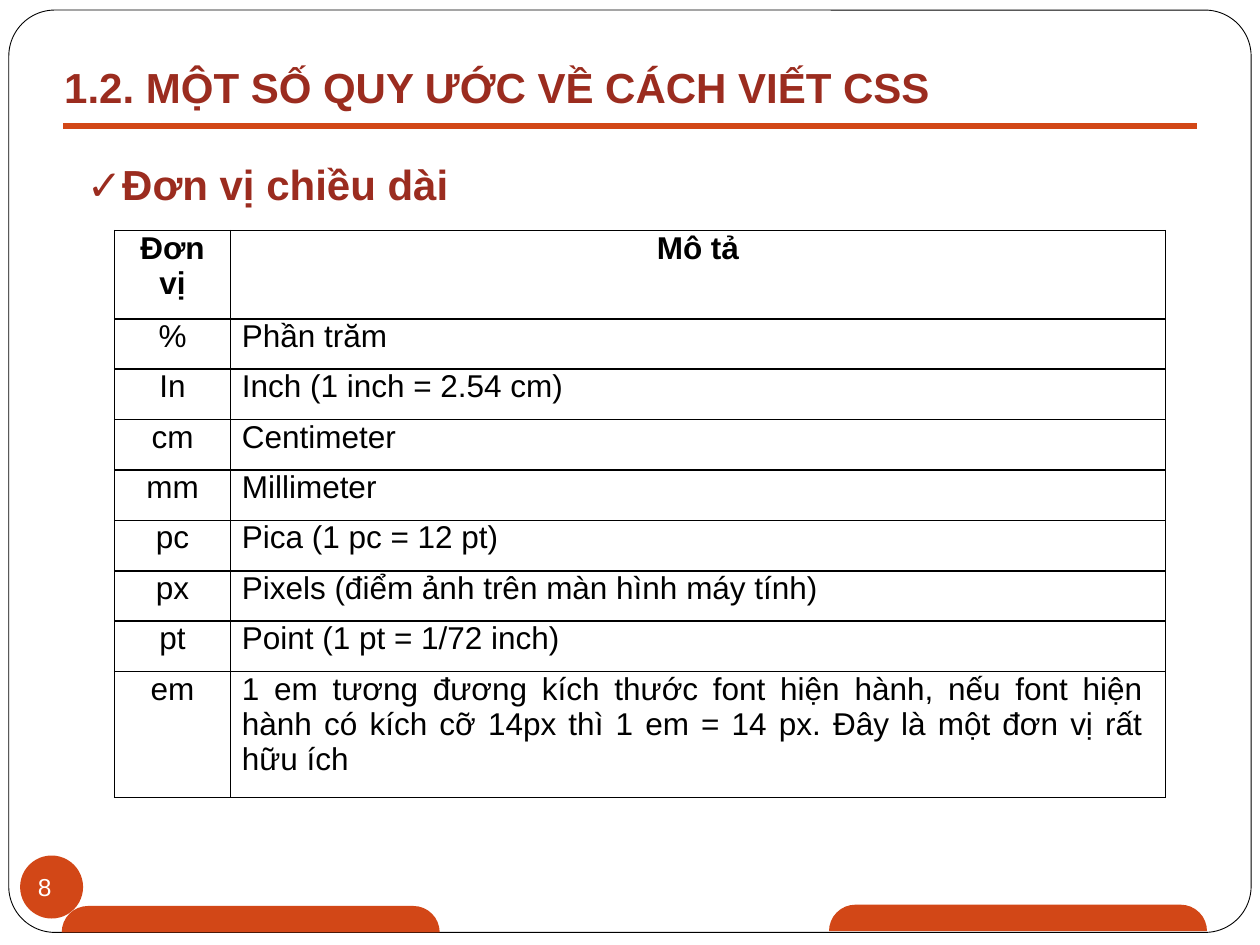
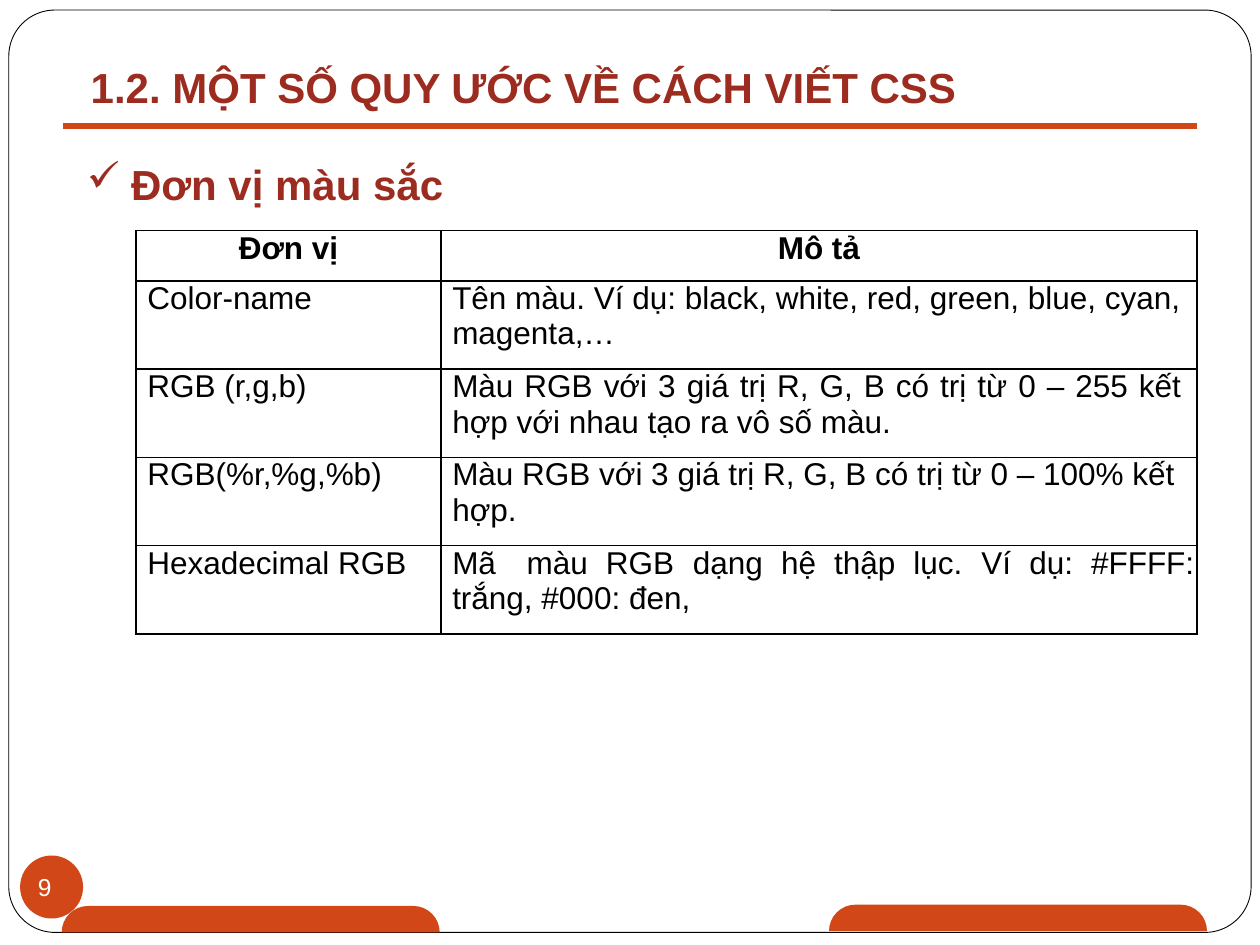
from math import cos, pi, sin

from lxml.etree import SubElement
from pptx import Presentation
from pptx.dml.color import RGBColor
from pptx.enum.shapes import MSO_CONNECTOR, MSO_SHAPE
from pptx.enum.text import MSO_ANCHOR, MSO_AUTO_SIZE, PP_ALIGN
from pptx.oxml.ns import qn
from pptx.util import Inches, Pt

COLORS = {"accent": "D24717", "heading": "9B2C1F", "ink": "000000", "paper": "FFFFFF"}
FONT = "Arial"
CHECK = "✓"
SECTION = "1.2. MỘT SỐ QUY ƯỚC VỀ CÁCH VIẾT CSS"
LEFT, CENTER, JUSTIFY = PP_ALIGN.LEFT, PP_ALIGN.CENTER, PP_ALIGN.JUSTIFY


def rgb(name):
    return RGBColor.from_string(COLORS[name])


def write_text(frame, text, size=18, color="ink", bold=False, align=LEFT,
               before=0, line=None, tabs=()):
    """Fill a text frame, one paragraph for each line of text."""
    frame.word_wrap = True
    for index, content in enumerate(text.split("\n")):
        paragraph = frame.paragraphs[0] if index == 0 else frame.add_paragraph()
        paragraph.alignment = align
        paragraph.space_before = Pt(0 if index else before)
        paragraph.line_spacing = line
        run = paragraph.add_run()
        run.text = content
        run.font.name = FONT
        run.font.size = Pt(size)
        run.font.bold = bold
        run.font.color.rgb = rgb(color)
        if tabs and index == 0:
            stops = SubElement(paragraph._p.get_or_add_pPr(), qn("a:tabLst"))
            for stop in tabs:
                SubElement(stops, qn("a:tab"), pos=str(Inches(stop)), algn="l")


def clear_margins(frame):
    frame.margin_left = frame.margin_right = 0
    frame.margin_top = frame.margin_bottom = 0
    frame.vertical_anchor = MSO_ANCHOR.TOP
    frame.auto_size = MSO_AUTO_SIZE.NONE


def draw_borders(cell):
    properties = cell._tc.get_or_add_tcPr()
    for position, side in enumerate(("lnL", "lnR", "lnT", "lnB")):
        edge = SubElement(properties, qn(f"a:{side}"), w=str(Pt(1)))
        fill = SubElement(edge, qn("a:solidFill"))
        SubElement(fill, qn("a:srgbClr"), val=COLORS["ink"])
        properties.remove(edge)
        properties.insert(position, edge)


class Deck:
    def __init__(self):
        self.prs = Presentation()
        self.prs.slide_width, self.prs.slide_height = Inches(10), Inches(7.5)
        self.slide = None

    # Shared page furniture
    def add_slide(self, number, title_left):
        self.slide = self.prs.slides.add_slide(self.prs.slide_layouts[5])
        frame = self.shape(MSO_SHAPE.ROUNDED_RECTANGLE, 0.07, 0.08, 9.86, 7.32, line="ink")
        frame.adjustments[0] = 0.05
        self.shape(MSO_SHAPE.OVAL, 0.16, 6.79, 0.5, 0.5, fill="accent")
        self.rule(0.5, 9.5, 1)
        self.footer_tab(0.49, 7.4)
        self.footer_tab(6.58, 7.39)
        self.title(SECTION, title_left)
        self.text(str(number), 0.3, 6.94, 0.24, 0.22, size=14, color="paper", line=Pt(15.2))

    def finish(self, shape, fill=None, line=None):
        shape.shadow.inherit = False
        if fill:
            shape.fill.solid()
            shape.fill.fore_color.rgb = rgb(fill)
        else:
            shape.fill.background()
        if line:
            shape.line.color.rgb = rgb(line)
            shape.line.width = Pt(0.5)
        else:
            shape.line.fill.background()
        return shape

    def shape(self, kind, left, top, width, height, **style):
        box = map(Inches, (left, top, width, height))
        return self.finish(self.slide.shapes.add_shape(kind, *box), **style)

    def footer_tab(self, left, bottom, width=3, radius=0.21, steps=8):
        """A band whose two upper corners are quarter circles."""
        angles = [pi / 2 * step / steps for step in range(steps + 1)]
        arc = [(radius * (1 - cos(a)), bottom - radius * sin(a)) for a in angles]
        outline = [(left + x, y) for x, y in arc]
        outline += [(left + width - x, y) for x, y in reversed(arc)]
        points = [(Inches(x), Inches(y)) for x, y in outline]
        builder = self.slide.shapes.build_freeform(*points[0])
        builder.add_line_segments(points[1:], close=True)
        self.finish(builder.convert_to_shape(), fill="accent")

    def rule(self, start, end, top):
        line = self.slide.shapes.add_connector(
            MSO_CONNECTOR.STRAIGHT, Inches(start), Inches(top), Inches(end), Inches(top))
        line.line.color.rgb = rgb("accent")
        line.line.width = Pt(3)
        SubElement(line._element.spPr, qn("a:effectLst"))

    # Text
    def title(self, text, left):
        title = self.slide.shapes.title
        title.left, title.top = Inches(left), Inches(0.49)
        title.width, title.height = Inches(8), Inches(0.4)
        clear_margins(title.text_frame)
        write_text(title.text_frame, text, size=24, color="heading", bold=True)

    def text(self, text, left, top, width, height, **style):
        box = self.slide.shapes.add_textbox(*map(Inches, (left, top, width, height)))
        clear_margins(box.text_frame)
        write_text(box.text_frame, text, **style)
        return box.text_frame.paragraphs[0]

    def heading(self, text, hang=0):
        """A checked heading; with a hang the check mark is a bullet."""
        paragraph = self.text(text if hang else CHECK, 0.69, 1.26, 7, 0.4,
                              size=24, color="heading", bold=bool(hang))
        if hang:
            properties = paragraph._p.get_or_add_pPr()
            properties.set("marL", str(Inches(hang)))
            properties.set("indent", str(-Inches(hang)))
            SubElement(properties, qn("a:buChar"), char=CHECK)
        else:
            run = paragraph.add_run()
            run.text = text
            run.font.name, run.font.size, run.font.bold = FONT, Pt(24), True
            run.font.color.rgb = rgb("heading")

    # Tables
    def table(self, rows, left, widths, heights, key_align, special):
        """special maps (row, column) to a right margin and text format."""
        grid = self.slide.shapes.add_table(
            len(rows), len(widths), Inches(left), Inches(1.83),
            Inches(sum(widths)), Inches(sum(heights))).table
        grid.first_row = grid.horz_banding = False
        for column, width in zip(grid.columns, widths):
            column.width = Inches(width)
        for r, (row, height) in enumerate(zip(rows, heights)):
            grid.rows[r].height = Inches(height)
            for c, content in enumerate(row):
                align = CENTER if r == 0 else (key_align, LEFT)[c]
                style = {"align": align, "bold": r == 0, "before": 2.6}
                style.update(special.get((r, c), {}))
                cell = grid.cell(r, c)
                cell.margin_left = Inches(0 if style["align"] == CENTER else 0.09)
                cell.margin_right = Inches(style.pop("right", 0))
                cell.margin_top = cell.margin_bottom = 0
                cell.fill.background()
                draw_borders(cell)
                write_text(cell.text_frame, content, **style)


LENGTH_UNITS = [
    ("Đơn\nvị", "Mô tả"),
    ("%", "Phần trăm"),
    ("In", "Inch (1 inch = 2.54 cm)"),
    ("cm", "Centimeter"),
    ("mm", "Millimeter"),
    ("pc", "Pica (1 pc = 12 pt)"),
    ("px", "Pixels (điểm ảnh trên màn hình máy tính)"),
    ("pt", "Point (1 pt = 1/72 inch)"),
    ("em", "1 em tương đương kích thước font hiện hành, nếu font hiện hành có kích cỡ "
           "14px thì 1 em = 14 px. Đây là một đơn vị rất hữu ích"),
]
COLOR_UNITS = [
    ("Đơn vị", "Mô tả"),
    ("Color-name", "Tên màu. Ví dụ: black, white, red, green, blue, cyan, magenta,…"),
    ("RGB (r,g,b)", "Màu RGB với 3 giá trị R, G, B có trị từ 0 – 255 kết "
                    "hợp với nhau tạo ra vô số màu."),
    ("RGB(%r,%g,%b)", "Màu RGB với 3 giá trị R, G, B có trị từ 0 – 100% kết hợp."),
    ("Hexadecimal RGB", "Mã\tmàu\tRGB\tdạng\thệ\tthập\tlục.\tVí\tdụ:\t#FFFF:\n"
                        "trắng, #000: đen,"),
]
HEX_TABS = (0.59, 1.22, 1.91, 2.61, 3.03, 3.66, 4.2, 4.58, 5.07)


def main():
    deck = Deck()

    # Units of length
    deck.add_slide(8, title_left=0.51)
    deck.heading("Đơn vị chiều dài")
    deck.table(LENGTH_UNITS, 0.91, (0.92, 7.42), [0.7] + [0.4] * 7 + [1], CENTER,
               {(8, 1): {"align": JUSTIFY, "right": 0.18}})

    # Units of colour
    deck.add_slide(9, title_left=0.72)
    deck.heading("Đơn vị màu sắc", hang=0.35)
    deck.table(COLOR_UNITS, 1.08, (2.42, 6), [0.4] + [0.7] * 4, LEFT,
               {(2, 1): {"align": JUSTIFY, "right": 0.12},
                (4, 1): {"tabs": HEX_TABS}})

    deck.prs.save("out.pptx")


if __name__ == "__main__":
    main()
